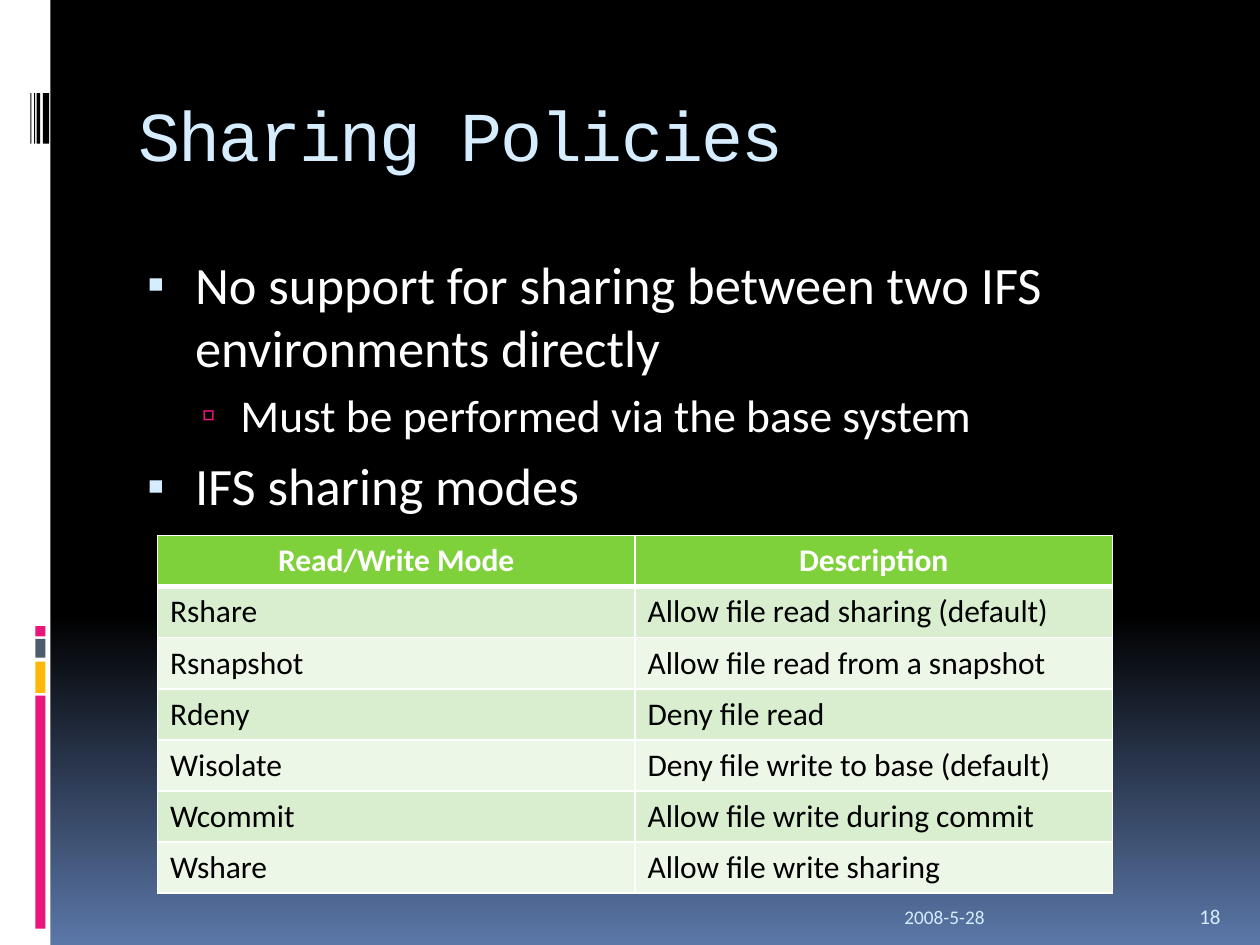
from copy import deepcopy
from dataclasses import dataclass

from lxml import etree
from pptx import Presentation
from pptx import util as u
from pptx.dml.color import RGBColor
from pptx.enum import shapes, text
from pptx.oxml.ns import qn

COLS, ROWS = 100, 75
UNIT = u.Inches(0.1)


@dataclass(frozen=True)
class Theme:
    black: str = "000000"
    white: str = "FFFFFF"
    dusk: str = "5B77A8"
    ice: str = "D6ECFF"
    pink: str = "EA157A"
    gold: str = "FEB80A"
    slate: str = "4E5B6F"
    green: str = "7FD13B"
    bands: tuple = ("D8EECE", "ECF7E8")
    sans: str = "Calibri"
    mono: str = "Courier New"
    title: int = 40
    body: tuple = (30, 26)
    cell: int = 18
    date: int = 11
    page: int = 12


T = Theme()


def grid(*cells):
    return [round(c * UNIT) for c in cells]


def rgb(code):
    return RGBColor.from_string(code)


def node(base, tag, **attrs):
    return etree.SubElement(base, qn(tag), attrs)


def paint(fill, code):
    fill.solid()
    fill.fore_color.rgb = rgb(code)


def backdrop(slide):
    fill = slide.background.fill
    fill.gradient()
    fill.gradient_angle = 270
    stops = slide.element.find(".//" + qn("a:gsLst"))
    stops.append(deepcopy(stops[0]))
    marks = ((0, T.black), (0.65, T.black), (1, T.dusk))
    for stop, (place, code) in zip(fill.gradient_stops, marks):
        stop.position = place
        stop.color.rgb = rgb(code)


def block(slide, area, code):
    box = slide.shapes.add_shape(shapes.MSO_SHAPE.RECTANGLE, *grid(*area))
    box.shadow.inherit = False
    paint(box.fill, code)
    box.line.fill.background()


def write(para, words, size, code, face=T.sans, bold=False):
    run = para.add_run()
    run.text = words
    font = run.font
    font.size, font.name, font.bold = u.Pt(size), face, bold
    font.color.rgb = rgb(code)
    return run


def frame(slide, area, anchor):
    tf = slide.shapes.add_textbox(*grid(*area)).text_frame
    tf.word_wrap = True
    tf.vertical_anchor = anchor
    return tf


def label(slide, area, anchor, words, size, face=T.sans):
    para = frame(slide, area, anchor).paragraphs[0]
    return write(para, words, size, T.ice, face)


def bullet(para, level):
    left, hang, gap, code, size, mark = (
        (0.45, 0.38, 7, T.ice, 95, "▪"),
        (0.81, 0.31, 5, T.pink, 90, "▫"),
    )[level]
    para.level = level
    para.space_before = u.Pt(gap)
    props = para._p.get_or_add_pPr()
    props.set("marL", str(u.Inches(left)))
    props.set("indent", str(-u.Inches(hang)))
    node(node(props, "a:buClr"), "a:srgbClr", val=code)
    node(props, "a:buSzPct", val=str(size * 1000))
    node(props, "a:buFont", typeface="Arial")
    node(props, "a:buChar", char=mark)


def outline(slide, area, items):
    tf = frame(slide, area, text.MSO_ANCHOR.TOP)
    for i, (level, words) in enumerate(items):
        para = tf.add_paragraph() if i else tf.paragraphs[0]
        bullet(para, level)
        write(para, words, T.body[level], T.white)


def border(cell, base):
    props = cell._tc.get_or_add_tcPr()
    sides = (("L", 1), ("R", 1), ("T", 1), ("B", base))
    for i, (side, width) in enumerate(sides):
        line = etree.Element(qn("a:ln" + side), w=str(u.Pt(width)))
        node(node(line, "a:solidFill"), "a:srgbClr", val=T.white)
        props.insert(i, line)


def table(slide, area, rows):
    tab = slide.shapes.add_table(len(rows), len(rows[0]), *grid(*area)).table
    for r, row in enumerate(rows):
        head = r == 0
        for c, words in enumerate(row):
            cell = tab.cell(r, c)
            paint(cell.fill, T.green if head else T.bands[(r - 1) % 2])
            border(cell, 3 if r < 1 else 1)
            para = cell.text_frame.paragraphs[0]
            para.alignment = text.PP_ALIGN.CENTER if head else text.PP_ALIGN.LEFT
            write(para, words, T.cell, T.white if head else T.black, bold=head)


def rail(slide):
    block(slide, (0, 0, 4, ROWS), T.white)
    for top, tall, code in (
        (55.2, 18.5, T.pink),
        (52.5, 2.5, T.gold),
        (50.7, 1.5, T.slate),
        (49.7, 0.8, T.pink),
    ):
        block(slide, (2.8, top, 0.8, tall), code)
    for left, wide in ((3.4, 0.5), (2.9, 0.3), (2.7, 0.1), (2.4, 0.1)):
        block(slide, (left, 7.4, wide, 4), T.black)


def main():
    deck = Presentation()
    deck.slide_width, deck.slide_height = grid(COLS, ROWS)
    slide = deck.slides.add_slide(deck.slide_layouts[6])
    backdrop(slide)
    rail(slide)
    title = label(slide, (10, 5.6, 85, 10), text.MSO_ANCHOR.MIDDLE,
                  "Sharing Policies", T.title, T.mono)
    title._r.get_or_add_rPr().set("spc", "-100")
    outline(slide, (10, 19.5, 85, 50), (
        (0, "No support for sharing between two IFS environments directly"),
        (1, "Must be performed via the base system"),
        (0, "IFS sharing modes"),
    ))
    table(slide, (12.5, 42.5, 75.8, 28.4), (
        ("Read/Write Mode", "Description"),
        ("Rshare", "Allow file read sharing (default)"),
        ("Rsnapshot", "Allow file read from a snapshot"),
        ("Rdeny", "Deny file read"),
        ("Wisolate", "Deny file write to base (default)"),
        ("Wcommit", "Allow file write during commit"),
        ("Wshare", "Allow file write sharing"),
    ))
    low = text.MSO_ANCHOR.BOTTOM
    label(slide, (70.8, 70.2, 23.3, 4), low, "2008-5-28", T.date)
    label(slide, (94.2, 70.2, 5, 4), low, "18", T.page)
    deck.save("out.pptx")


if __name__ == "__main__":
    main()
